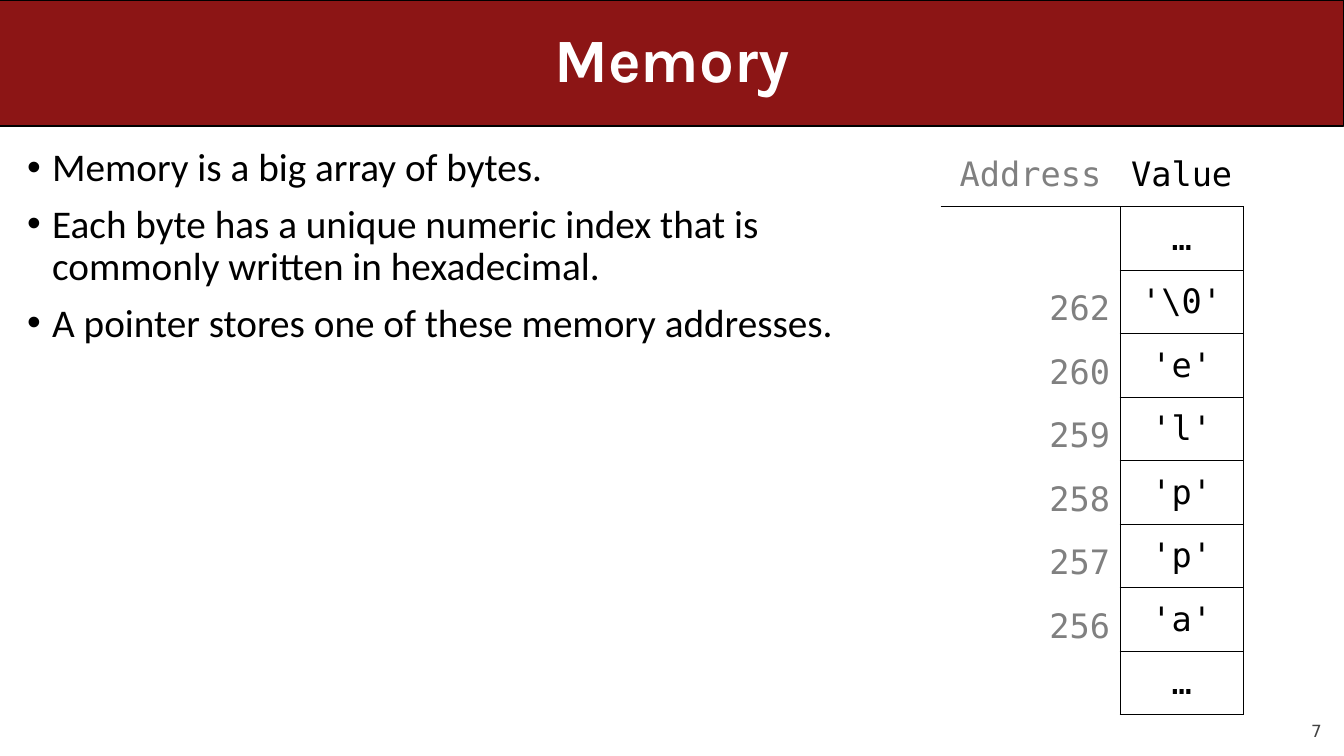
from lxml import etree
from pptx import Presentation
from pptx.dml.color import RGBColor
from pptx.enum.shapes import MSO_SHAPE
from pptx.enum.text import MSO_ANCHOR as ANCHOR, PP_ALIGN as ALIGN
from pptx.oxml.ns import qn
from pptx.util import Inches, Pt

BLACK = RGBColor(0x00, 0x00, 0x00)
WHITE = RGBColor(0xFF, 0xFF, 0xFF)
CARDINAL = RGBColor(0x8C, 0x15, 0x15)
GRAY = RGBColor(0x80, 0x80, 0x80)
DARK_GRAY = RGBColor(0x42, 0x42, 0x42)

BULLETS = [
    "Memory is a big array of bytes.",
    "Each byte has a unique numeric index that is commonly written in hexadecimal.",
    "A pointer stores one of these memory addresses.",
]
MEMORY = [
    ("Address", "Value"),
    ("", "…"),
    ("262", "'\\0'"),
    ("260", "'e'"),
    ("259", "'l'"),
    ("258", "'p'"),
    ("257", "'p'"),
    ("256", "'a'"),
    ("", "…"),
]


def add_run(p, text, size, font, color, bold=False):
    """Append one formatted run to a paragraph."""
    r = p.add_run()
    r.text = text
    r.font.size = Pt(size)
    r.font.name = font
    r.font.color.rgb = color
    r.font.bold = bold


def set_borders(cell, shown):
    """Draw black 1 pt lines on the shown sides (of L, R, T, B), none elsewhere."""
    tcPr = cell._tc.get_or_add_tcPr()
    for i, side in enumerate("LRTB"):
        ln = etree.Element(qn(f"a:ln{side}"), w=str(Pt(1)))
        if side in shown:
            fill = etree.SubElement(ln, qn("a:solidFill"))
            etree.SubElement(fill, qn("a:srgbClr"), val=str(BLACK))
        else:
            etree.SubElement(ln, qn("a:noFill"))
        tcPr.insert(i, ln)


prs = Presentation()
prs.slide_width, prs.slide_height = Inches(13.33), Inches(7.5)
s = prs.slides.add_slide(prs.slide_layouts[6])

# Slide number
sp = s.shapes.add_textbox(Inches(12), Inches(6.95), Inches(1.11), Inches(0.4))
tf = sp.text_frame
tf.word_wrap = True
tf.vertical_anchor = ANCHOR.BOTTOM
tf.margin_left = tf.margin_right = tf.margin_top = tf.margin_bottom = 0
p = tf.paragraphs[0]
p.alignment = ALIGN.RIGHT
add_run(p, "7", 12, "DejaVu Sans", DARK_GRAY)

# Title band
band = s.shapes.add_shape(MSO_SHAPE.ROUNDED_RECTANGLE, 0, 0, prs.slide_width, Inches(1.25))
band.adjustments[0] = 0
band.shadow.inherit = False
band.fill.solid()
band.fill.fore_color.rgb = CARDINAL
band.line.color.rgb = BLACK
band.line.width = Pt(0.75)

# Title
sp = s.shapes.add_textbox(Inches(0.5), 0, Inches(12.33), Inches(1.25))
tf = sp.text_frame
tf.word_wrap = True
tf.vertical_anchor = ANCHOR.MIDDLE
p = tf.paragraphs[0]
p.alignment = ALIGN.CENTER
p.line_spacing = 0.9
add_run(p, "Memory", 44, "Karla", WHITE, bold=True)

# Bulleted body
sp = s.shapes.add_textbox(Inches(0.17), Inches(1.42), Inches(8.83), Inches(5.67))
tf = sp.text_frame
tf.word_wrap = True
for i, text in enumerate(BULLETS):
    p = tf.add_paragraph() if i else tf.paragraphs[0]
    p.line_spacing = 0.9
    p.space_before = Pt(10)
    pPr = p._p.get_or_add_pPr()
    pPr.set("marL", str(Inches(0.25)))
    pPr.set("indent", str(-Inches(0.25)))
    etree.SubElement(pPr, qn("a:buFont"), typeface="Arial")
    etree.SubElement(pPr, qn("a:buChar"), char="•")
    add_run(p, text, 28, "Calibri", BLACK)

# Memory table: plain address column, boxed value column
frame = s.shapes.add_table(len(MEMORY), 2, Inches(9.33), Inches(1.42), Inches(3), Inches(5.67))
table = frame.table
table.first_row = table.horz_banding = False
table.columns[0].width, table.columns[1].width = Inches(1.78), Inches(1.22)
for i, row in enumerate(MEMORY):
    table.rows[i].height = Inches(0.63)
    for j, text in enumerate(row):
        cell = table.cell(i, j)
        is_address = i > 0 and j == 0
        if i == 0:
            set_borders(cell, "B")
        elif is_address:
            set_borders(cell, "RT" if i == 1 else "R")
        else:
            set_borders(cell, "LRTB")
        cell.fill.background()
        cell.vertical_anchor = ANCHOR.BOTTOM if is_address else ANCHOR.MIDDLE
        p = cell.text_frame.paragraphs[0]
        p.alignment = ALIGN.RIGHT if is_address else ALIGN.CENTER
        if text:
            add_run(p, text, 24, "DejaVu Sans Mono", BLACK if j else GRAY)

prs.save("out.pptx")
